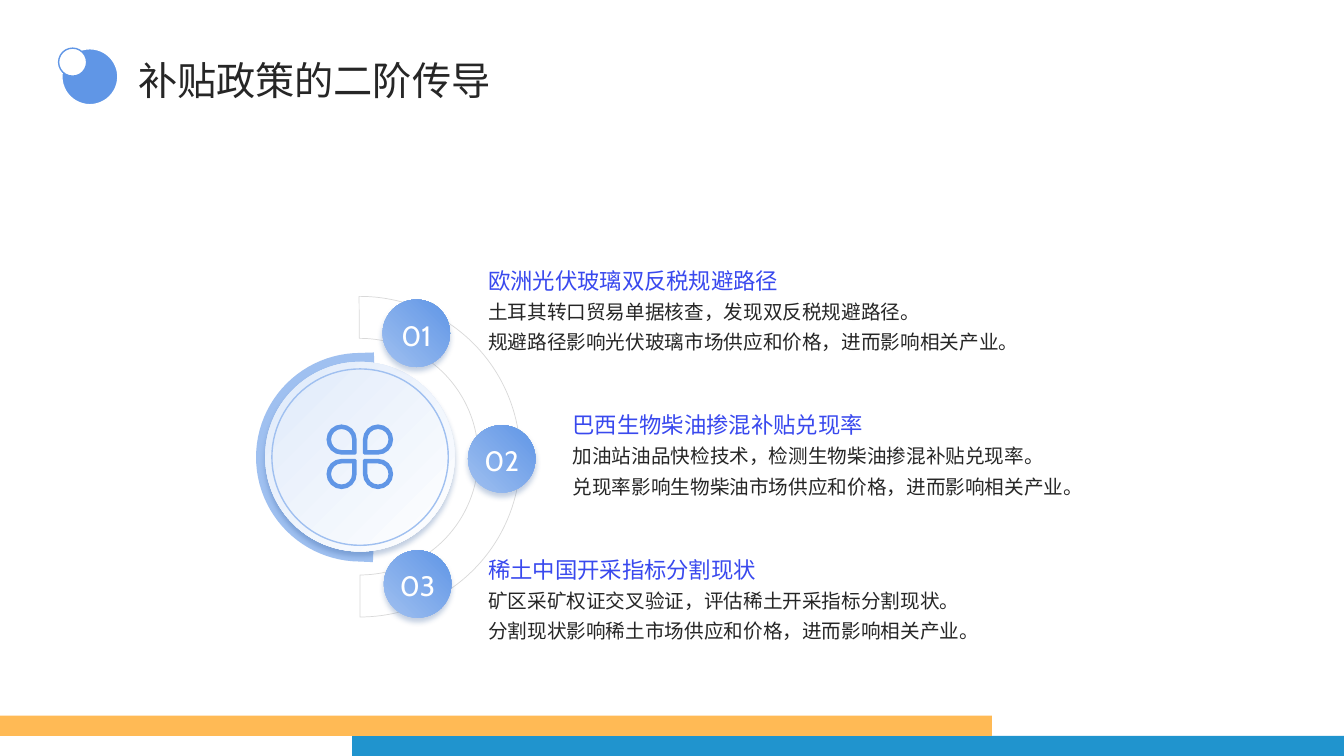
import math

from lxml import etree
from pptx import Presentation
from pptx.dml.color import RGBColor
from pptx.enum import shapes, text
from pptx.oxml import ns
from pptx.util import Pt

COLORS = {
    "blue": "6096E6", "light_blue": "A0C0F0", "pale_blue": "DFEAFA",
    "white": "FFFFFF", "grey": "D9D9D9", "shadow": "16468D",
    "heading": "3949EE", "ink": "262626",
    "bar_blue": "2094CE", "bar_orange": "FFBA55",
}
CHINESE = "Noto Sans CJK SC"
SHAPE = shapes.MSO_SHAPE
ANCHOR = text.MSO_ANCHOR
ALIGN = text.PP_ALIGN

NODE_SIZE = 48.2
NODES = [("01", 273.3, 214), ("02", 334.3, 303.7), ("03", 274.2, 393.1)]

TOPICS_TOP, TOPIC_PITCH = 181.7, 103.3
TOPICS = [
    (348.7, "欧洲光伏玻璃双反税规避路径",
     "土耳其转口贸易单据核查，发现双反税规避路径。\n"
     "规避路径影响光伏玻璃市场供应和价格，进而影响相关产业。"),
    (409, "巴西生物柴油掺混补贴兑现率",
     "加油站油品快检技术，检测生物柴油掺混补贴兑现率。\n"
     "兑现率影响生物柴油市场供应和价格，进而影响相关产业。"),
    (348.7, "稀土中国开采指标分割现状",
     "矿区采矿权证交叉验证，评估稀土开采指标分割现状。\n"
     "分割现状影响稀土市场供应和价格，进而影响相关产业。"),
]


def rgb(name):
    return RGBColor.from_string(COLORS[name])


def paint(shape, fill=None, line=None, line_width=1):
    shape.shadow.inherit = False
    if fill:
        shape.fill.solid()
        shape.fill.fore_color.rgb = rgb(fill)
    else:
        shape.fill.background()
    if line:
        shape.line.color.rgb = rgb(line)
        shape.line.width = Pt(line_width)
    else:
        shape.line.fill.background()


def add_figure(slide, kind, left, top, width, height, rotation=0,
               adjustments=(), **style):
    shape = slide.shapes.add_shape(
        kind, Pt(left), Pt(top), Pt(width), Pt(height))
    shape.rotation = rotation
    for index, value in enumerate(adjustments):
        shape.adjustments[index] = value
    paint(shape, **style)
    return shape


def add_alpha(color, percent):
    etree.SubElement(color, ns.qn("a:alpha"), val=str(percent * 1000))


def add_raised_disc(slide, left, top, size, start, end, angle):
    """Add a circle with a two-colour gradient and a soft shadow below it."""
    disc = add_figure(slide, SHAPE.OVAL, left, top, size, size)
    disc.fill.gradient()
    disc.fill.gradient_angle = angle
    for stop, color in zip(disc.fill.gradient_stops, (start, end)):
        stop.color.rgb = rgb(color)
    effects = disc.element.spPr.find(ns.qn("a:effectLst"))
    shadow = etree.SubElement(
        effects, ns.qn("a:outerShdw"), blurRad=str(Pt(4)), dist=str(Pt(3)),
        dir="5400000", algn="t", rotWithShape="0")
    add_alpha(etree.SubElement(
        shadow, ns.qn("a:srgbClr"), val=COLORS["shadow"]), 25)


def write(shape, content, size, color, font=CHINESE, spacing=1.1,
          align=ALIGN.LEFT, anchor=ANCHOR.TOP):
    frame = shape.text_frame
    frame.word_wrap = True
    frame.auto_size = text.MSO_AUTO_SIZE.NONE
    frame.vertical_anchor = anchor
    frame.margin_left = frame.margin_right = 0
    frame.margin_top = frame.margin_bottom = 0
    paragraph = frame.paragraphs[0]
    paragraph.alignment = align
    paragraph.line_spacing = spacing
    paragraph.space_before = Pt(0)
    run = paragraph.add_run()
    run.text = content
    run.font.size = Pt(size)
    run.font.name = font
    run.font.color.rgb = rgb(color)
    etree.SubElement(run.font._element, ns.qn("a:ea"), typeface=font)


def add_text(slide, left, top, width, height, content, **style):
    box = slide.shapes.add_textbox(
        Pt(left), Pt(top), Pt(width), Pt(height))
    write(box, content, **style)


def petal_outline(center_x, center_y, radius, corner, side_x, side_y):
    """Return a round outline whose one corner points to (side_x, side_y)."""
    angles = [math.radians(90 + 22.5 * step) for step in range(13)]
    points = [(radius * math.cos(a), radius * math.sin(a)) for a in angles]
    points.append((radius, radius - corner))
    if corner:
        points.append((radius - corner, radius))
    return [(Pt(center_x + side_x * x), Pt(center_y + side_y * y))
            for x, y in points]


def add_clover(slide, center_x, center_y):
    outlines = [
        petal_outline(center_x - side_x * 13, center_y - side_y * 12.3,
                      radius, corner, side_x, side_y)
        for side_x in (1, -1) for side_y in (1, -1)
        for radius, corner in ((10.8, 1), (7.5, 0))]
    builder = slide.shapes.build_freeform(*outlines[0][0])
    for index, outline in enumerate(outlines):
        if index:
            builder.move_to(*outline[0])
        builder.add_line_segments(outline[1:], close=True)
    paint(builder.convert_to_shape(), fill="blue")


def add_title(slide, content):
    title = slide.shapes.title
    title.left, title.top = Pt(98.6), Pt(36.7)
    title.width, title.height = Pt(855.4), Pt(36.7)
    write(title, content, size=28, color="ink", anchor=ANCHOR.MIDDLE)
    add_figure(slide, SHAPE.OVAL, 44.2, 34.8, 40, 40,
               fill="blue", line="white")
    add_figure(slide, SHAPE.OVAL, 41.9, 34.4, 20, 20,
               fill="white", line="blue")


def add_half_ring(slide):
    ring = add_figure(slide, SHAPE.ARC, 192.9, 262.1, 129, 129, rotation=270,
                      adjustments=(108.324, 0), line="blue", line_width=20)
    outline = ring.element.spPr.find(ns.qn("a:ln"))
    outline.set("cap", "sq")
    add_alpha(outline.find(".//" + ns.qn("a:srgbClr")), 60)


def add_hub(slide):
    add_half_ring(slide)
    add_raised_disc(slide, 189.4, 258.5, 135.4, "pale_blue", "white", 315)
    add_clover(slide, 257, 326.3)
    add_figure(slide, SHAPE.OVAL, 194.2, 263.5, 126, 126, line="light_blue")
    add_figure(slide, SHAPE.BLOCK_ARC, 142.6, 211.7, 229, 229, rotation=90,
               adjustments=(107.811, 0, 0.131), line="grey", line_width=0.5)


def add_node(slide, number, left, top):
    add_raised_disc(slide, left, top, NODE_SIZE, "light_blue", "blue", 45)
    add_text(slide, left - 6.2, top + 4.3, 60.5, 39.6, number, size=20,
             color="white", font="Cabin", align=ALIGN.CENTER,
             anchor=ANCHOR.MIDDLE)


def add_topic(slide, left, top, heading, detail):
    add_text(slide, left, top, 408, 28.1, heading, size=16,
             color="heading", anchor=ANCHOR.BOTTOM)
    add_text(slide, left, top + 32.2, 408, 52.6, detail, size=14,
             color="ink", spacing=1.3)


def main():
    presentation = Presentation()
    presentation.slide_width, presentation.slide_height = Pt(960), Pt(540)
    slide = presentation.slides.add_slide(presentation.slide_layouts[5])
    add_figure(slide, SHAPE.RECTANGLE, 251.5, 525.6, 708.5, 14.4,
               fill="bar_blue")
    add_figure(slide, SHAPE.RECTANGLE, 0, 511.2, 708.5, 14.4,
               fill="bar_orange")
    add_hub(slide)
    for node in NODES:
        add_node(slide, *node)
    for index, (left, heading, detail) in enumerate(TOPICS):
        add_topic(slide, left, TOPICS_TOP + index * TOPIC_PITCH,
                  heading, detail)
    add_title(slide, "补贴政策的二阶传导")
    presentation.save("out.pptx")


if __name__ == "__main__":
    main()
